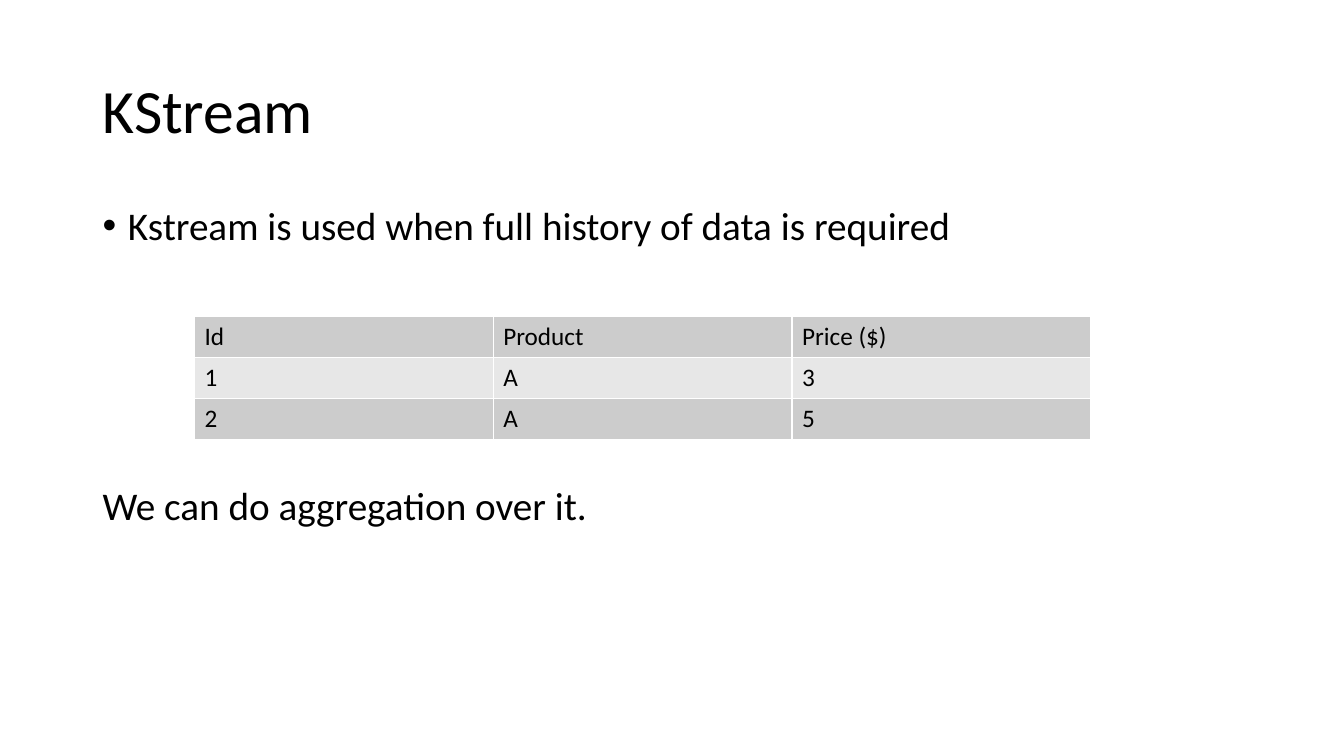
from lxml import etree
from pptx import Presentation, util as u
from pptx.dml.color import RGBColor
from pptx.enum import text
from pptx.oxml import ns

# Content
TITLE = "KStream"
USE = "Kstream is used when full history of data is required"
AGGREGATION = "We can do aggregation over it."
PRICES = [("Id", "Product", "Price ($)"), ("1", "A", "3"), ("2", "A", "5")]

FONT = "Calibri"
BLACK = RGBColor(0x00, 0x00, 0x00)
BANDS = (RGBColor(0xCC, 0xCC, 0xCC), RGBColor(0xE7, 0xE7, 0xE7))

# Layout
LEFT, WIDTH = u.Cm(2.33), u.Cm(29.21)
COLUMN_WIDTH, ROW_HEIGHT = u.Cm(7.53), u.Cm(1.03)
BULLET_INDENT = u.Cm(0.64)
TABLE_GAP = u.Pt(170)  # room for the table between the two body lines


def place(box, top, height, anchor):
    box.left, box.top, box.width, box.height = LEFT, top, WIDTH, height
    box.text_frame.word_wrap = True
    box.text_frame.auto_size = text.MSO_AUTO_SIZE.NONE
    box.text_frame.vertical_anchor = anchor


def write(para, words, size, before=0, spacing=None):
    para.alignment = text.PP_ALIGN.LEFT
    para.space_before = before
    para.line_spacing = spacing
    span = para.add_run()
    span.text = words
    span.font.name, span.font.size = FONT, u.Pt(size)
    span.font.bold = False
    span.font.color.rgb = BLACK


def set_bullet(para, mark=None, indent=0):
    props = para._p.get_or_add_pPr()
    props.set("marL", str(indent))
    props.set("indent", str(-indent))
    if mark:
        etree.SubElement(props, ns.qn("a:buFont"), typeface="Arial")
        etree.SubElement(props, ns.qn("a:buChar"), char=mark)
    else:
        etree.SubElement(props, ns.qn("a:buNone"))


deck = Presentation()
deck.slide_width, deck.slide_height = u.Cm(33.87), u.Cm(19.05)
page = deck.slides.add_slide(deck.slide_layouts[1])

# Title
title = page.shapes.title
place(title, u.Cm(1.01), u.Cm(3.68), text.MSO_ANCHOR.MIDDLE)
write(title.text_frame.paragraphs[0], TITLE, 44, spacing=0.9)

# Body lines above and below the table
body = page.placeholders[1]
place(body, u.Cm(5.07), u.Cm(12.09), text.MSO_ANCHOR.TOP)
use = body.text_frame.paragraphs[0]
write(use, USE, 28, u.Pt(10), 0.9)
set_bullet(use, "•", BULLET_INDENT)
aggregation = body.text_frame.add_paragraph()
write(aggregation, AGGREGATION, 28, TABLE_GAP, 0.9)
set_bullet(aggregation)

# Price table
rows, columns = len(PRICES), len(PRICES[0])
table = page.shapes.add_table(rows, columns, u.Cm(4.9), u.Cm(7.98),
                              COLUMN_WIDTH * columns, ROW_HEIGHT * rows).table
table.first_row = table.horz_banding = False
for r, record in enumerate(PRICES):
    for c, value in enumerate(record):
        cell = table.cell(r, c)
        cell.fill.solid()
        cell.fill.fore_color.rgb = BANDS[r % 2]
        write(cell.text_frame.paragraphs[0], value, 18)

deck.save("out.pptx")
